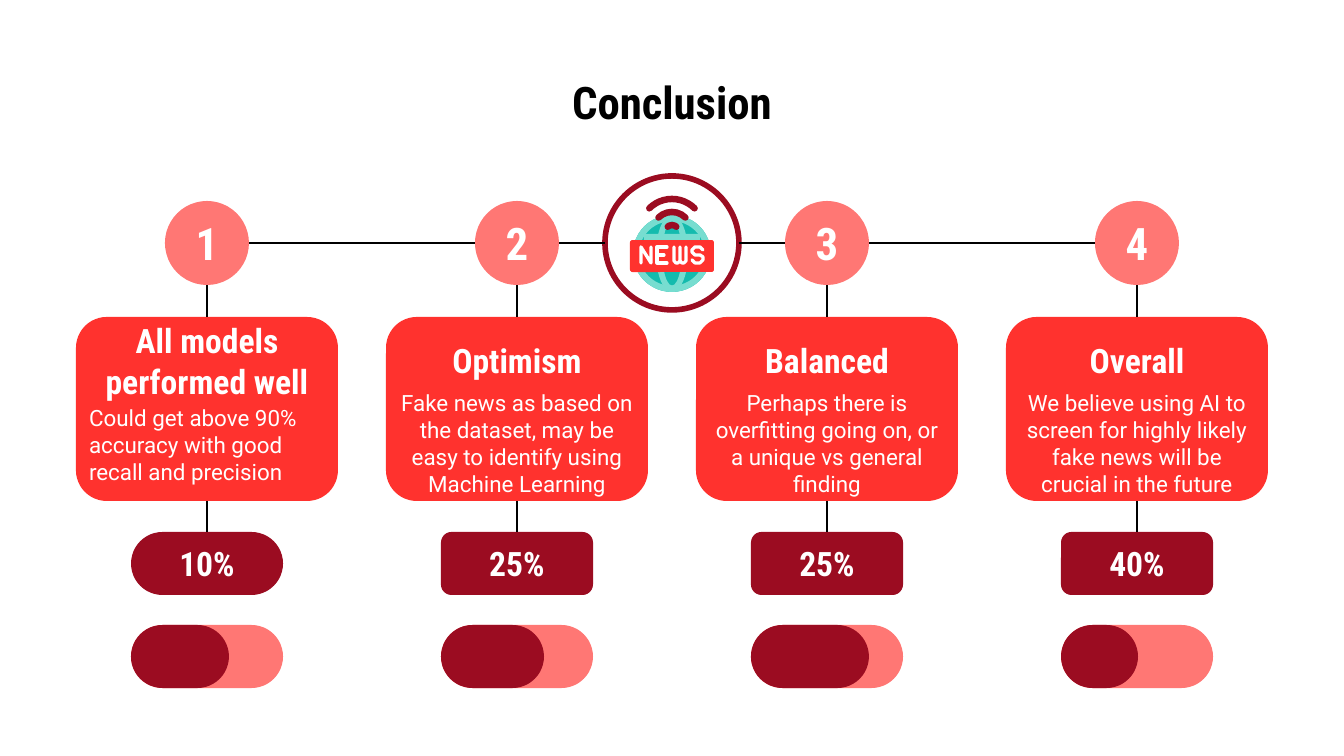
"""Build the conclusion slide: four findings joined to a news hub."""
from dataclasses import dataclass
from typing import Optional

from lxml import etree
from pptx import Presentation
from pptx.dml.color import RGBColor
from pptx.enum.shapes import MSO_CONNECTOR, MSO_SHAPE
from pptx.enum.text import MSO_ANCHOR, PP_ALIGN
from pptx.oxml.ns import qn
from pptx.util import Pt

OVAL, ROUND, RECT = MSO_SHAPE.OVAL, MSO_SHAPE.ROUNDED_RECTANGLE, MSO_SHAPE.RECTANGLE
RING, ARC, LINE = MSO_SHAPE.DONUT, MSO_SHAPE.ARC, MSO_CONNECTOR.STRAIGHT
LEFT, MID = PP_ALIGN.LEFT, PP_ALIGN.CENTER
TOP, CENTER = MSO_ANCHOR.TOP, MSO_ANCHOR.MIDDLE

SCALE = 914400 / 134.4
WIDE, HIGH = 1344, 756
AXIS = 243
START, STEP = 76, 310
CARD_W, CARD_H, CARD_Y = 262, 184, 317
DOT, PILL_W, PILL_H, PILL_Y, BAR_Y = 84, 152, 63, 532, 625
HUB_X, HUB_R = 672, 67

HEX = {"black": "000000", "white": "FFFFFF", "red": "FF322E", "pink": "FF7774",
       "wine": "9B0C21", "teal": "14BBAE", "mint": "77DDD0"}
FONTS = {
    "title": {"name": "Roboto Condensed", "size": Pt(24), "bold": True},
    "head": {"name": "Roboto Condensed", "size": Pt(18), "bold": True},
    "body": {"name": "Roboto", "size": Pt(12), "bold": False},
}
GLYPHS = (
    ((641, 263), (641, 247), (651, 263), (651, 247)),
    ((667, 247), (657, 247), (657, 263), (667, 263)),
    ((657, 255), (664, 255)),
    ((674, 247), (674, 261), (676, 263), (678, 263), (680, 261), (680, 247)),
    ((680, 261), (682, 263), (684, 263), (686, 261), (686, 247)),
    ((703, 250), (700, 247), (695, 247), (692, 250), (692, 252), (695, 255),
     (700, 255), (703, 257), (703, 260), (700, 263), (695, 263), (692, 260)),
)


@dataclass(frozen=True)
class Box:
    """Place of a shape in px."""
    x: int
    y: int
    w: int
    h: int


@dataclass(frozen=True)
class Item:
    """One finding with its share and the fill of its bar."""
    head: str
    body: str
    share: str
    bar: int
    curve: float = 0.167
    body_y: int = 376
    align: PP_ALIGN = MID


ITEMS = (
    Item("All models performed well",
         "Could get above 90% accuracy with good recall and precision",
         "10%", 98, 0.5, 391, LEFT),
    Item("Optimism",
         "Fake news as based on the dataset, may be easy to identify using Machine Learning",
         "25%", 103),
    Item("Balanced",
         "Perhaps there is overfitting going on, or a unique vs general finding",
         "25%", 118),
    Item("Overall",
         "We believe using AI to screen for highly likely fake news will be crucial in the future",
         "40%", 77),
)


def emu(px: int) -> int:
    """Turn px into EMU."""
    return round(px * SCALE)


def place(box: Box) -> tuple[int, ...]:
    """Give the EMU values of a box."""
    return tuple(emu(v) for v in (box.x, box.y, box.w, box.h))


def tint(name: str) -> RGBColor:
    """Look up a colour."""
    return RGBColor.from_string(HEX[name])


def write(shape, text: str, style: str, color: str = "white",
          align: PP_ALIGN = MID, anchor: MSO_ANCHOR = CENTER) -> None:
    """Put one styled paragraph in a shape."""
    frame = shape.text_frame
    sides = dict.fromkeys(("margin_left", "margin_right", "margin_top", "margin_bottom"), emu(13))
    for key, val in {**sides, "word_wrap": True, "vertical_anchor": anchor}.items():
        setattr(frame, key, val)
    para = frame.paragraphs[0]
    para.alignment = align
    run = para.add_run()
    run.text = text
    for key, val in FONTS[style].items():
        setattr(run.font, key, val)
    run.font.color.rgb = tint(color)


def label(slide, box: Box, text: str, style: str, **look) -> None:
    """Add a text box."""
    write(slide.shapes.add_textbox(*place(box)), text, style, **look)


def draw(slide, kind: MSO_SHAPE, box: Box, fill: str, adj: Optional[float] = None):
    """Add a filled shape without a line."""
    shape = slide.shapes.add_shape(kind, *place(box))
    shape.shadow.inherit = False
    shape.fill.solid()
    shape.fill.fore_color.rgb = tint(fill)
    shape.line.fill.background()
    if adj is not None:
        shape.adjustments[0] = adj
    return shape


def stroke(shape, color: str, width: float) -> None:
    """Turn a shape into an unfilled line with round ends."""
    shape.shadow.inherit = False
    shape.fill.background()
    shape.line.color.rgb = tint(color)
    shape.line.width = Pt(width)
    shape.line._get_or_add_ln().set("cap", "rnd")


def link(slide, x1: int, y1: int, x2: int, y2: int):
    """Add a thin black connector."""
    line = slide.shapes.add_connector(LINE, emu(x1), emu(y1), emu(x2), emu(y2))
    line.line.color.rgb = tint("black")
    line.line.width = Pt(0.75)
    etree.SubElement(line._element.spPr, qn("a:effectLst"))
    return line


def draw_hub(slide) -> None:
    """Draw the ringed news globe."""
    disc = draw(slide, OVAL, Box(HUB_X - HUB_R, AXIS - HUB_R, 2 * HUB_R, 2 * HUB_R), "white")
    disc.line.color.rgb = tint("wine")
    disc.line.width = Pt(3)
    globe = Box(HUB_X - 39, 215, 78, 77)
    draw(slide, OVAL, globe, "teal")
    draw(slide, RING, globe, "mint", 0.08)
    draw(slide, RING, Box(HUB_X - 16, 215, 32, 77), "mint", 0.2)
    draw(slide, RECT, Box(HUB_X - 28, 234, 56, 6), "mint")
    for rad in (6, 19, 32):
        wave = slide.shapes.add_shape(ARC, *place(Box(HUB_X - rad, 231 - rad, 2 * rad, 2 * rad)))
        wave.adjustments[0], wave.adjustments[1] = 225 * 0.6, 315 * 0.6
        stroke(wave, "wine", 3.5)
    draw(slide, ROUND, Box(HUB_X - 42, 240, 84, 32), "red", 0.08)
    for first, *rest in GLYPHS:
        pen = slide.shapes.build_freeform(*first, scale=SCALE)
        pen.add_line_segments(rest, close=False)
        stroke(pen.convert_to_shape(), "white", 1.75)


def draw_item(slide, num: int, item: Item) -> None:
    """Draw one column of the chain."""
    left = START + num * STEP
    mid = left + CARD_W // 2
    side = mid - PILL_W // 2
    card = draw(slide, ROUND, Box(left, CARD_Y, CARD_W, CARD_H), "red", 0.167)
    label(slide, Box(left, 335, CARD_W, 51), item.head, "head")
    label(slide, Box(left, item.body_y, CARD_W, 106), item.body, "body",
          align=item.align, anchor=TOP)
    dot = draw(slide, OVAL, Box(mid - DOT // 2, AXIS - DOT // 2, DOT, DOT), "pink")
    write(dot, str(num + 1), "title")
    link(slide, mid, AXIS + DOT // 2, mid, CARD_Y).end_connect(card, 0)
    pill = draw(slide, ROUND, Box(side, PILL_Y, PILL_W, PILL_H), "wine", item.curve)
    write(pill, item.share, "head")
    stem = link(slide, mid, CARD_Y + CARD_H, mid, PILL_Y)
    stem.begin_connect(card, 2)
    stem.end_connect(pill, 0)
    for width, fill in ((PILL_W, "pink"), (item.bar, "wine")):
        draw(slide, ROUND, Box(side, BAR_Y, width, PILL_H), fill, 0.5)


def main() -> None:
    """Build and save the slide."""
    deck = Presentation()
    deck.slide_width, deck.slide_height = emu(WIDE), emu(HIGH)
    slide = deck.slides.add_slide(deck.slide_layouts[6])
    label(slide, Box(67, 60, 1210, 84), "Conclusion", "title", color="black")
    draw_hub(slide)
    for num, item in enumerate(ITEMS):
        draw_item(slide, num, item)
    dots = [START + CARD_W // 2 + num * STEP for num in range(len(ITEMS))]
    half = DOT // 2
    for x1, x2 in ((dots[0] + half, dots[1] - half), (dots[1] + half, HUB_X - HUB_R),
                   (HUB_X + HUB_R, dots[2] - half), (dots[2] + half, dots[3] - half)):
        link(slide, x1, AXIS, x2, AXIS)
    deck.save("out.pptx")


if __name__ == "__main__":
    main()
